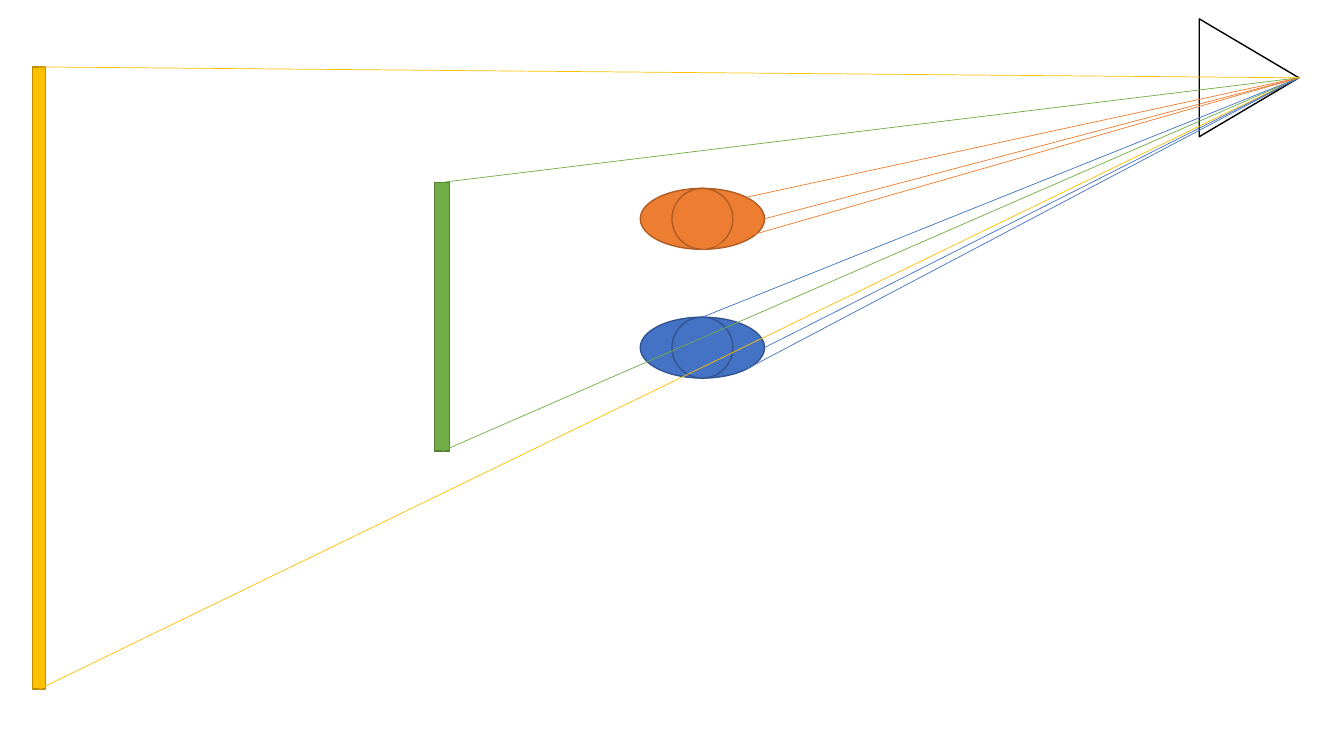
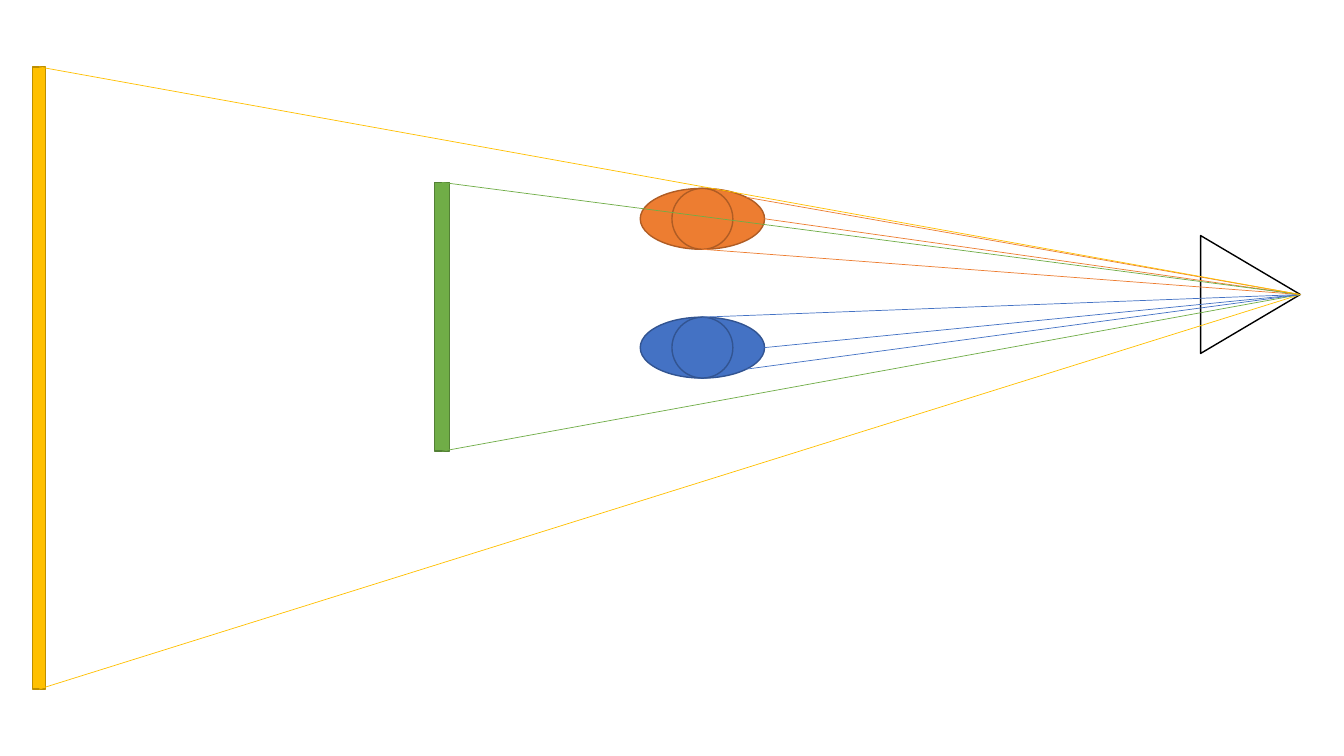
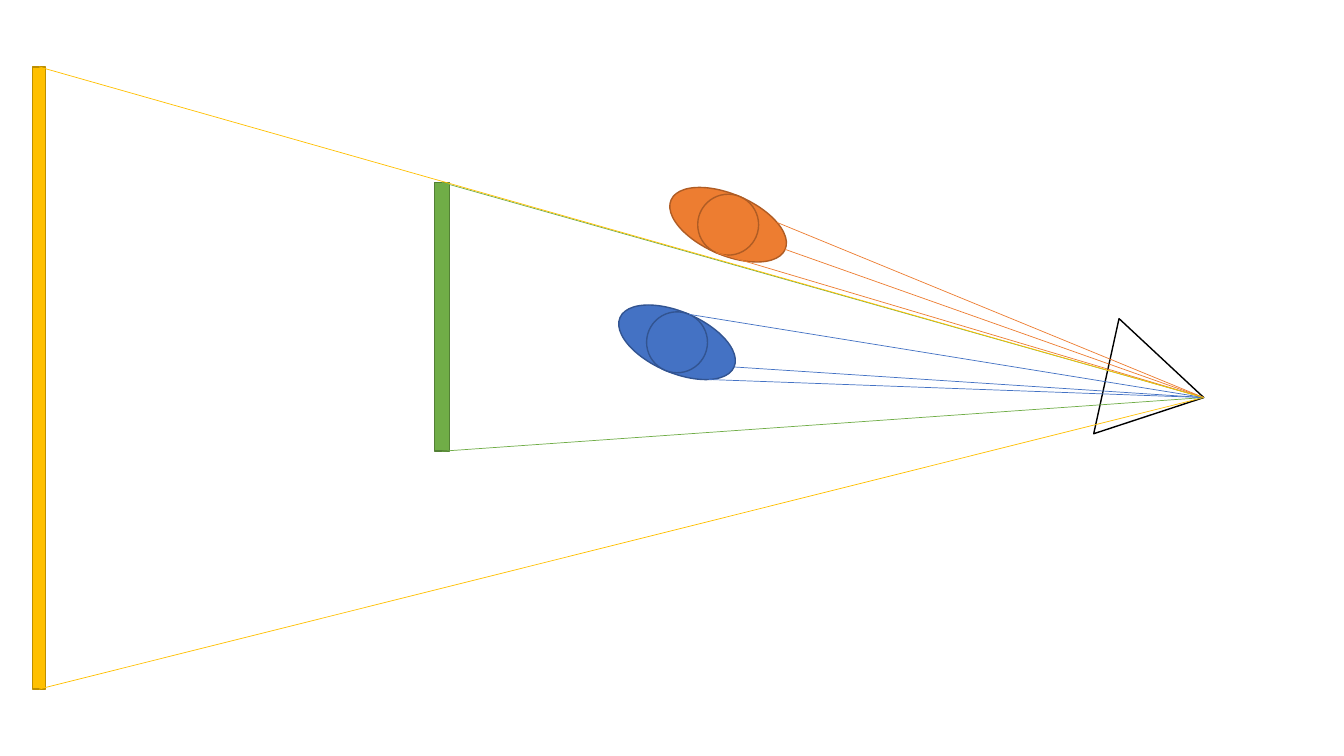
from math import cos, radians, sin

from lxml import etree
from pptx import Presentation
from pptx.dml.color import RGBColor
from pptx.enum.shapes import MSO_CONNECTOR, MSO_SHAPE
from pptx.oxml.ns import qn
from pptx.util import Pt

ELLIPSE = MSO_SHAPE.OVAL
RECTANGLE = MSO_SHAPE.RECTANGLE
TRIANGLE = MSO_SHAPE.ISOSCELES_TRIANGLE
STRAIGHT = MSO_CONNECTOR.STRAIGHT

COLORS = {
    "blue": "4472C4", "blue_edge": "325491",
    "orange": "ED7D31", "orange_edge": "AF5C24",
    "green": "70AD47", "green_edge": "538035",
    "yellow": "FFC000", "yellow_edge": "BD8E00",
    "black": "000000",
}
BODY_WIDTH, BODY_HEIGHT = 88.8, 43.5
CAMERA_WIDTH, CAMERA_LENGTH = 84.2, 71.2
BARS = {
    "green": (315.7, 130.3, 11, 192),
    "yellow": (28, 47.8, 9.4, 444.4),
}
SIGHT_ANGLES = {"blue": (45, 0, -90), "orange": (90, -45, 0)}
UPRIGHT = {"blue": (501.7, 248.3), "orange": (501.7, 156.3)}
TURNED = {"blue": (483.6, 244.5), "orange": (520.1, 160.5)}
SCENES = [
    {"eye": (927.8, 55.6), "camera_turn": 0, "people": UPRIGHT, "people_turn": 0},
    {"eye": (928.8, 210.4), "camera_turn": 0, "people": UPRIGHT, "people_turn": 0},
    {"eye": (859.8, 284), "camera_turn": 12.4, "people": TURNED, "people_turn": 23.4},
]


class SightDiagram:
    """Draws people, bars and sight lines on the current slide."""

    def __init__(self):
        self.deck = Presentation()
        self.deck.slide_width, self.deck.slide_height = Pt(960), Pt(540)
        self.slide = None

    def new_slide(self):
        self.slide = self.deck.slides.add_slide(self.deck.slide_layouts[6])

    def shape(self, kind, center, width, height, edge, fill=None, turn=0):
        left, top = center[0] - width / 2, center[1] - height / 2
        shape = self.slide.shapes.add_shape(kind, Pt(left), Pt(top), Pt(width), Pt(height))
        shape.shadow.inherit = False
        shape.rotation = turn
        if fill:
            shape.fill.solid()
            shape.fill.fore_color.rgb = RGBColor.from_string(COLORS[fill])
        else:
            shape.fill.background()
        shape.line.color.rgb = RGBColor.from_string(COLORS[edge])
        shape.line.width = Pt(1)

    def person(self, color, center, turn):
        for width in (BODY_WIDTH, BODY_HEIGHT):
            self.shape(ELLIPSE, center, width, BODY_HEIGHT, color + "_edge", color, turn)

    def bar(self, color):
        x, top, width, height = BARS[color]
        self.shape(RECTANGLE, (x, top + height / 2), width, height, color + "_edge", color)

    def camera(self, eye, turn):
        reach = CAMERA_LENGTH / 2
        center = (eye[0] - reach * cos(radians(turn)), eye[1] - reach * sin(radians(turn)))
        self.shape(TRIANGLE, center, CAMERA_WIDTH, CAMERA_LENGTH, "black", turn=90 + turn)

    def sight_line(self, color, start, eye):
        line = self.slide.shapes.add_connector(
            STRAIGHT, Pt(start[0]), Pt(start[1]), Pt(eye[0]), Pt(eye[1]))
        line.line.color.rgb = RGBColor.from_string(COLORS[color])
        line.line.width = Pt(0.5)
        properties = line.line._get_or_add_ln().getparent()
        etree.SubElement(properties, qn("a:effectLst"))

    def person_sight_lines(self, color, center, turn, eye):
        tilt = radians(turn)
        for angle in SIGHT_ANGLES[color]:
            x = BODY_WIDTH / 2 * cos(radians(angle))
            y = BODY_HEIGHT / 2 * sin(radians(angle))
            start = (center[0] + x * cos(tilt) - y * sin(tilt),
                     center[1] + x * sin(tilt) + y * cos(tilt))
            self.sight_line(color, start, eye)

    def scene(self, eye, camera_turn, people, people_turn):
        self.new_slide()
        for color, center in people.items():
            self.person(color, center, people_turn)
        for color in BARS:
            self.bar(color)
        self.camera(eye, camera_turn)
        for color in ("yellow", "green"):
            x, top, _, height = BARS[color]
            self.sight_line(color, (x, top + height), eye)
        for color, center in people.items():
            self.person_sight_lines(color, center, people_turn, eye)
        for color in BARS:
            self.sight_line(color, BARS[color][:2], eye)


def main():
    diagram = SightDiagram()
    for scene in SCENES:
        diagram.scene(**scene)
    diagram.deck.save("out.pptx")


if __name__ == "__main__":
    main()
